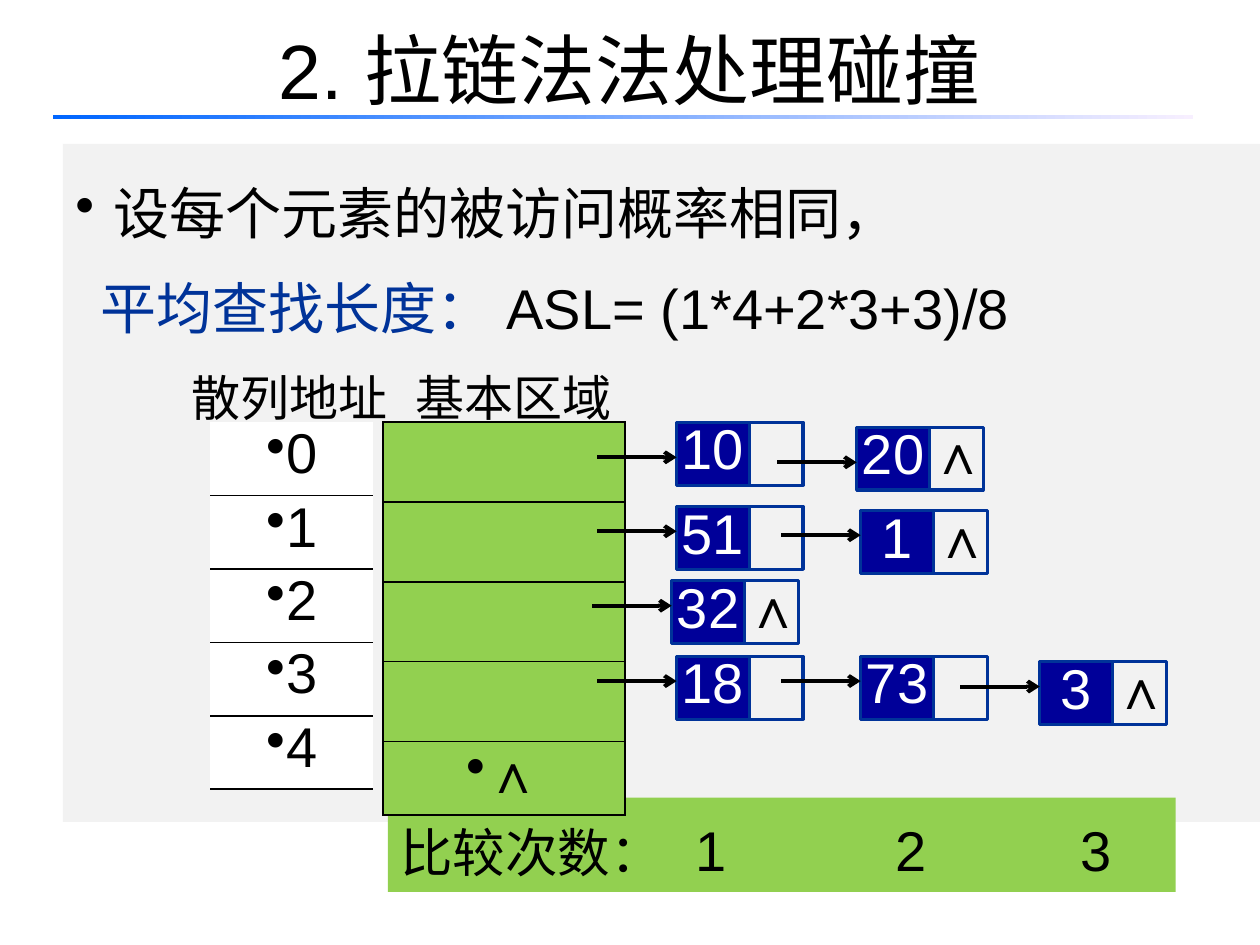
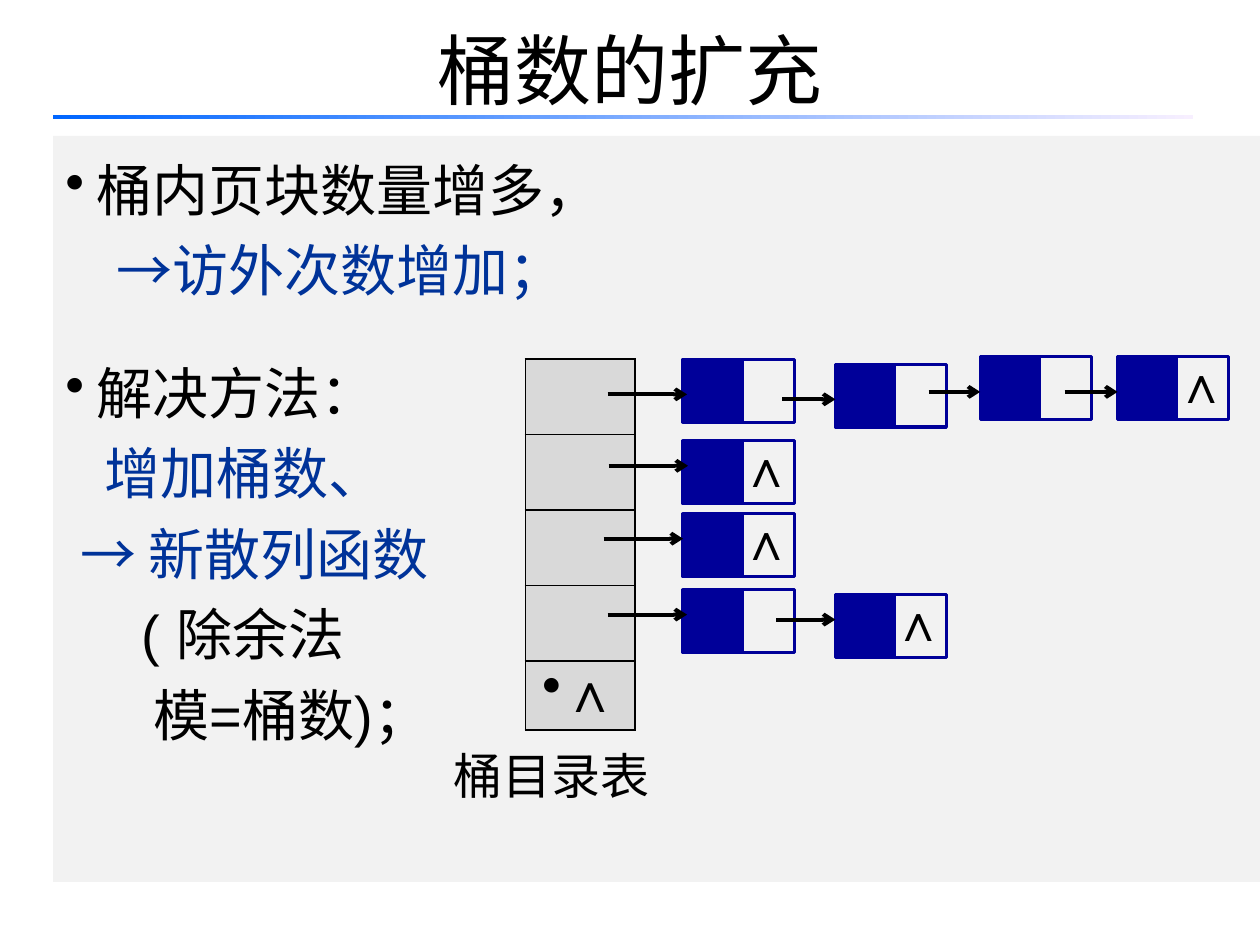
from dataclasses import dataclass

from lxml.etree import SubElement
from pptx import Presentation
from pptx.dml.color import RGBColor
from pptx.enum.shapes import MSO_CONNECTOR, MSO_SHAPE
from pptx.enum.text import MSO_ANCHOR, PP_ALIGN
from pptx.oxml.ns import qn
from pptx.util import Cm, Pt

BLACK = RGBColor(0x00, 0x00, 0x00)
WHITE = RGBColor(0xFF, 0xFF, 0xFF)
BLUE = RGBColor(0x00, 0x33, 0x99)
NAVY = RGBColor(0x00, 0x00, 0x99)
GREEN = RGBColor(0x92, 0xD0, 0x50)
PANEL_GRAY = RGBColor(0xF2, 0xF2, 0xF2)
BUCKET_GRAY = RGBColor(0xD9, 0xD9, 0xD9)
RULE_START = RGBColor(0x00, 0x66, 0xFF)
RULE_END = RGBColor(0xF7, 0xEF, 0xFF)

LATIN = "Arial"
CHINESE = "Noto Sans CJK SC"
NIL = "∧"
NO_TABLE_STYLE = "{2D5ABB26-0587-4C30-8999-92F81FD0307C}"
NODE_HEIGHT = 1.27
FIRST_ROW_DROP = 0.71
ROW_DROP = 0.5


@dataclass
class NodeStyle:
    data_width: float
    pointer_offset: float
    pointer_width: float
    outline: RGBColor
    nil_size: int


@dataclass
class Node:
    left: float
    top: float
    label: str = ""
    is_last: bool = False
    reach: float = 1.6
    overlap: float = 0
    drop: float = ROW_DROP


@dataclass
class Line:
    text: str
    color: RGBColor = BLACK
    margin: float = 0
    hanging: float = 0
    bullet: bool = False
    space_before: int = 0


def apply_format(target, values):
    for name, value in values.items():
        setattr(target, name, value)


def add_run(paragraph, text, size, color=BLACK, name=LATIN, bold=False):
    run = paragraph.add_run()
    run.text = text
    apply_format(run.font, {"name": name, "size": Pt(size), "bold": bold})
    run.font.color.rgb = color


def set_indent(paragraph, margin, hanging, bullet):
    properties = paragraph._p.get_or_add_pPr()
    properties.set("marL", str(Cm(margin)))
    properties.set("indent", str(-Cm(hanging)))
    if bullet:
        SubElement(properties, qn("a:buChar")).set("char", "•")
    else:
        SubElement(properties, qn("a:buNone"))


def write_lines(shape, lines, size, pitch):
    frame = shape.text_frame
    apply_format(frame, {"word_wrap": True, "vertical_anchor": MSO_ANCHOR.TOP})
    for index, line in enumerate(lines):
        paragraph = frame.paragraphs[0] if index == 0 else frame.add_paragraph()
        set_indent(paragraph, line.margin, line.hanging, line.bullet)
        apply_format(paragraph, {"alignment": PP_ALIGN.LEFT, "line_spacing": Pt(pitch),
                                 "space_before": Pt(line.space_before)})
        add_run(paragraph, line.text, size, line.color)


def add_box(slide, left, top, width, height, fill=None, outline=None):
    shape = slide.shapes.add_shape(MSO_SHAPE.RECTANGLE, Cm(left), Cm(top), Cm(width), Cm(height))
    shape.shadow.inherit = False
    if fill is None:
        shape.fill.background()
    else:
        shape.fill.solid()
        shape.fill.fore_color.rgb = fill
    if outline is None:
        shape.line.fill.background()
    else:
        shape.line.color.rgb = outline
        shape.line.width = Pt(1.75)
    return shape


def add_label(slide, text, left, top, width, height, size, pitch):
    box = slide.shapes.add_textbox(Cm(left), Cm(top), Cm(width), Cm(height))
    write_lines(box, [Line(text)], size, pitch)


def add_titled_slide(presentation, title_runs):
    slide = presentation.slides.add_slide(presentation.slide_layouts[5])
    title = slide.shapes.title
    apply_format(title, {"left": Cm(1.27), "top": Cm(-0.2), "width": Cm(22.86), "height": Cm(3.18)})
    title.text_frame.vertical_anchor = MSO_ANCHOR.MIDDLE
    paragraph = title.text_frame.paragraphs[0]
    paragraph.alignment = PP_ALIGN.CENTER
    for text, name in title_runs:
        add_run(paragraph, text, 44, name=name)
    rule = add_box(slide, 1.07, 2.31, 22.99, 0.1)
    rule.fill.gradient()
    rule.fill.gradient_angle = 0
    for stop, color in zip(rule.fill.gradient_stops, (RULE_START, RULE_END)):
        stop.color.rgb = color
    return slide


def add_cell_border(cell, sides):
    properties = cell._tc.get_or_add_tcPr()
    for side in sides:
        line = SubElement(properties, qn(f"a:ln{side}"), w=str(Pt(1)))
        fill = SubElement(line, qn("a:solidFill"))
        SubElement(fill, qn("a:srgbClr"), val=str(BLACK))


def add_column(slide, left, top, width, row_heights, texts, fill, sides):
    frame = slide.shapes.add_table(len(texts), 1, Cm(left), Cm(top), Cm(width), Cm(sum(row_heights)))
    table = frame.table
    apply_format(table, {"first_row": False, "horz_banding": False})
    table._tbl.tblPr.find(qn("a:tableStyleId")).text = NO_TABLE_STYLE
    for row, height, text in zip(table.rows, row_heights, texts):
        row.height = Cm(height)
        cell = row.cells[0]
        add_cell_border(cell, sides)
        cell.fill.solid()
        cell.fill.fore_color.rgb = fill
        if text:
            paragraph = cell.text_frame.paragraphs[0]
            set_indent(paragraph, 0, 0, True)
            apply_format(paragraph, {"alignment": PP_ALIGN.CENTER, "line_spacing": 0.9})
            add_run(paragraph, text, 32, bold=text == NIL)


def add_arrow(slide, start, end, y):
    arrow = slide.shapes.add_connector(MSO_CONNECTOR.STRAIGHT, Cm(start), Cm(y), Cm(end), Cm(y))
    arrow.line.color.rgb = BLACK
    arrow.line.width = Pt(2.25)
    SubElement(arrow.line._get_or_add_ln(), qn("a:tailEnd"), type="arrow")
    SubElement(arrow._element.spPr, qn("a:effectLst"))


def write_node_text(shape, text, size, color, bold=False):
    apply_format(shape.text_frame, {"word_wrap": False, "vertical_anchor": MSO_ANCHOR.MIDDLE})
    paragraph = shape.text_frame.paragraphs[0]
    apply_format(paragraph, {"alignment": PP_ALIGN.CENTER, "line_spacing": 0.8})
    add_run(paragraph, text, size, color, bold=bold)


def add_nodes(slide, nodes, style):
    for node in nodes:
        pointer = add_box(slide, node.left + style.pointer_offset, node.top,
                          style.pointer_width, NODE_HEIGHT, outline=style.outline)
        if node.is_last:
            write_node_text(pointer, f" {NIL}", style.nil_size, BLACK, bold=True)
        data = add_box(slide, node.left, node.top, style.data_width, NODE_HEIGHT, NAVY, style.outline)
        if node.label:
            write_node_text(data, node.label, 32, WHITE)
    for node in nodes:
        add_arrow(slide, node.left - node.reach, node.left + node.overlap, node.top + node.drop)


def build_chaining_slide(presentation):
    slide = add_titled_slide(presentation, [("2. 拉", LATIN), ("链法法处理碰撞", CHINESE)])
    panel = add_box(slide, 1.27, 2.9, 24.13, 13.67, PANEL_GRAY)
    write_lines(panel, [
        Line("设每个元素的被访问概率相同，", margin=0.77, hanging=0.77, bullet=True),
        Line("平均查找长度：", BLUE, margin=0.51),
    ], 32, 54.5)
    add_label(slide, "ASL= (1*4+2*3+3)/8", 9.96, 4.83, 15.44, 2.16, 32, 54.5)

    counts = add_box(slide, 7.82, 16.08, 15.88, 1.9, GREEN)
    write_lines(counts, [Line("比较次数：")], 30, 45)
    for count, left in (("1", 13.77), ("2", 17.8), ("3", 21.54)):
        add_label(slide, count, left, 15.98, 1.27, 1.8, 32, 48)

    add_column(slide, 7.72, 8.51, 4.88, [1.61] * 4 + [1.48], [""] * 4 + [NIL], GREEN, "LRTB")
    add_column(slide, 4.24, 8.51, 3.28, [1.48] * 5, "01234", WHITE, "B")
    for text, left in (("散列地址", 3.61), ("基本区域", 8.13)):
        add_label(slide, text, left, 6.99, 4.75, 1.47, 28, 42)

    add_nodes(slide, [
        Node(13.64, 8.51, "10", drop=FIRST_ROW_DROP),
        Node(17.27, 8.61, "20", is_last=True, drop=FIRST_ROW_DROP),
        Node(13.64, 10.21, "51"),
        Node(17.35, 10.29, "1", is_last=True),
        Node(13.54, 11.71, "32", is_last=True),
        Node(13.64, 13.23, "18"),
        Node(17.35, 13.23, "73"),
        Node(20.96, 13.34, "3", is_last=True),
    ], NodeStyle(1.47, 1.23, 1.32, BLUE, 32))


def build_bucket_slide(presentation):
    slide = add_titled_slide(presentation, [("桶数的扩充", CHINESE)])
    panel = add_box(slide, 1.07, 2.74, 24.33, 15.04, PANEL_GRAY)
    write_lines(panel, [
        Line("桶内页块数量增多，", margin=0.63, hanging=0.63, bullet=True),
        Line("→访外次数增加；", BLUE, margin=1.03),
        Line("解决方法：", margin=0.63, hanging=0.63, bullet=True, space_before=24),
        Line("增加桶数、", BLUE, margin=0.79),
        Line("→ 新散列函数", BLUE, margin=0.3),
        Line("( 除余法", margin=1.54),
        Line("模=桶数)；", margin=1.78),
    ], 32, 46)

    add_column(slide, 10.59, 7.24, 2.21, [1.52] * 4 + [1.4], [""] * 4 + [NIL], BUCKET_GRAY, "LRTB")
    add_label(slide, "桶目录表", 8.89, 14.61, 4.65, 1.47, 28, 42)

    add_nodes(slide, [
        Node(13.77, 7.24, reach=1.52, overlap=0.08, drop=FIRST_ROW_DROP),
        Node(16.84, 7.34, reach=1.07, drop=FIRST_ROW_DROP),
        Node(19.76, 7.19, reach=1.04, drop=FIRST_ROW_DROP),
        Node(22.53, 7.19, is_last=True, reach=1.07, drop=FIRST_ROW_DROP),
        Node(13.77, 8.89, is_last=True, reach=1.5, overlap=0.1),
        Node(13.77, 10.36, is_last=True),
        Node(13.77, 11.89, reach=1.52, overlap=0.08),
        Node(16.84, 11.99, is_last=True, reach=1.19),
    ], NodeStyle(1.19, 0.84, 1.4, NAVY, 30))


def main():
    presentation = Presentation()
    apply_format(presentation, {"slide_width": Cm(25.4), "slide_height": Cm(19.05)})
    build_chaining_slide(presentation)
    build_bucket_slide(presentation)
    presentation.save("out.pptx")


if __name__ == "__main__":
    main()
